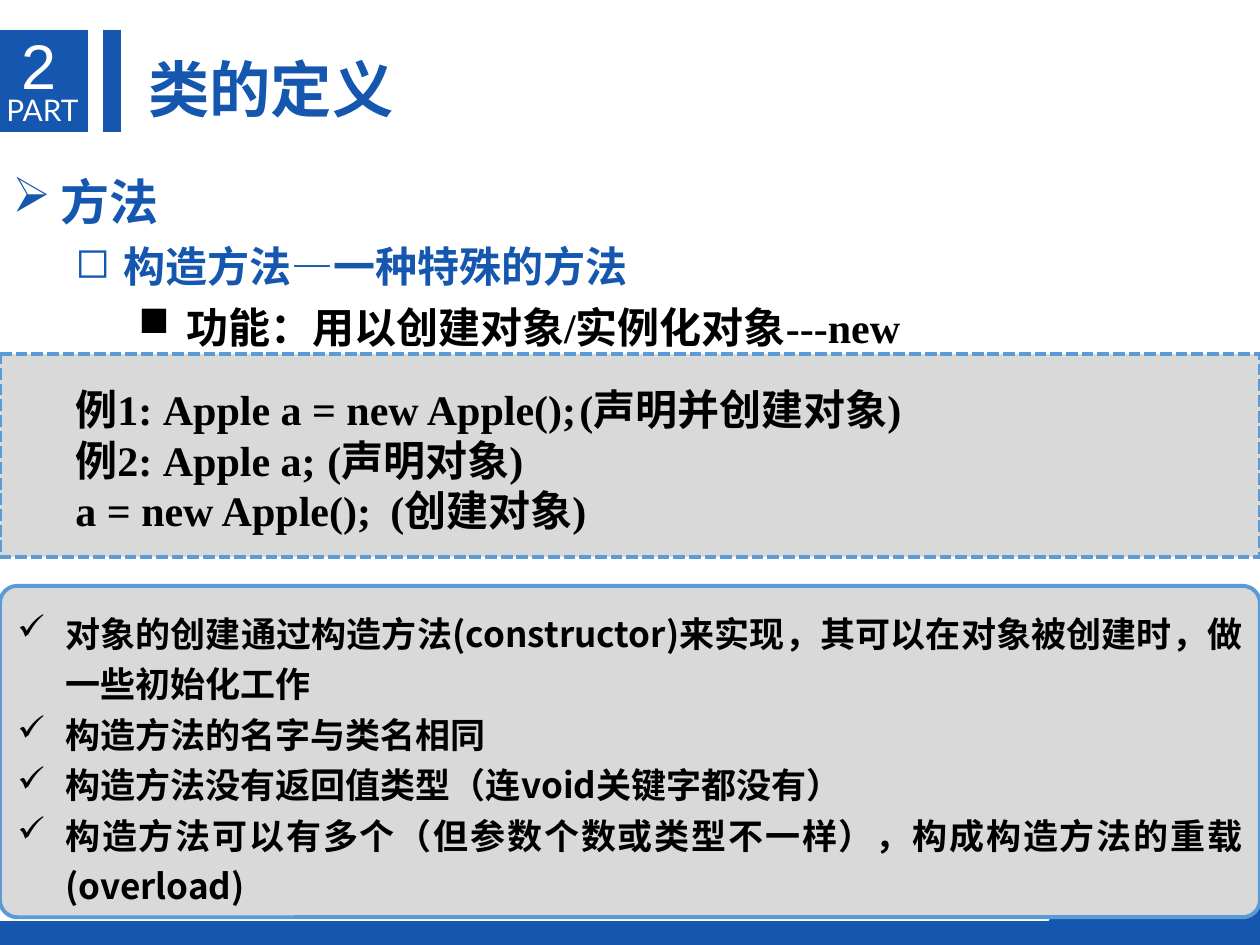
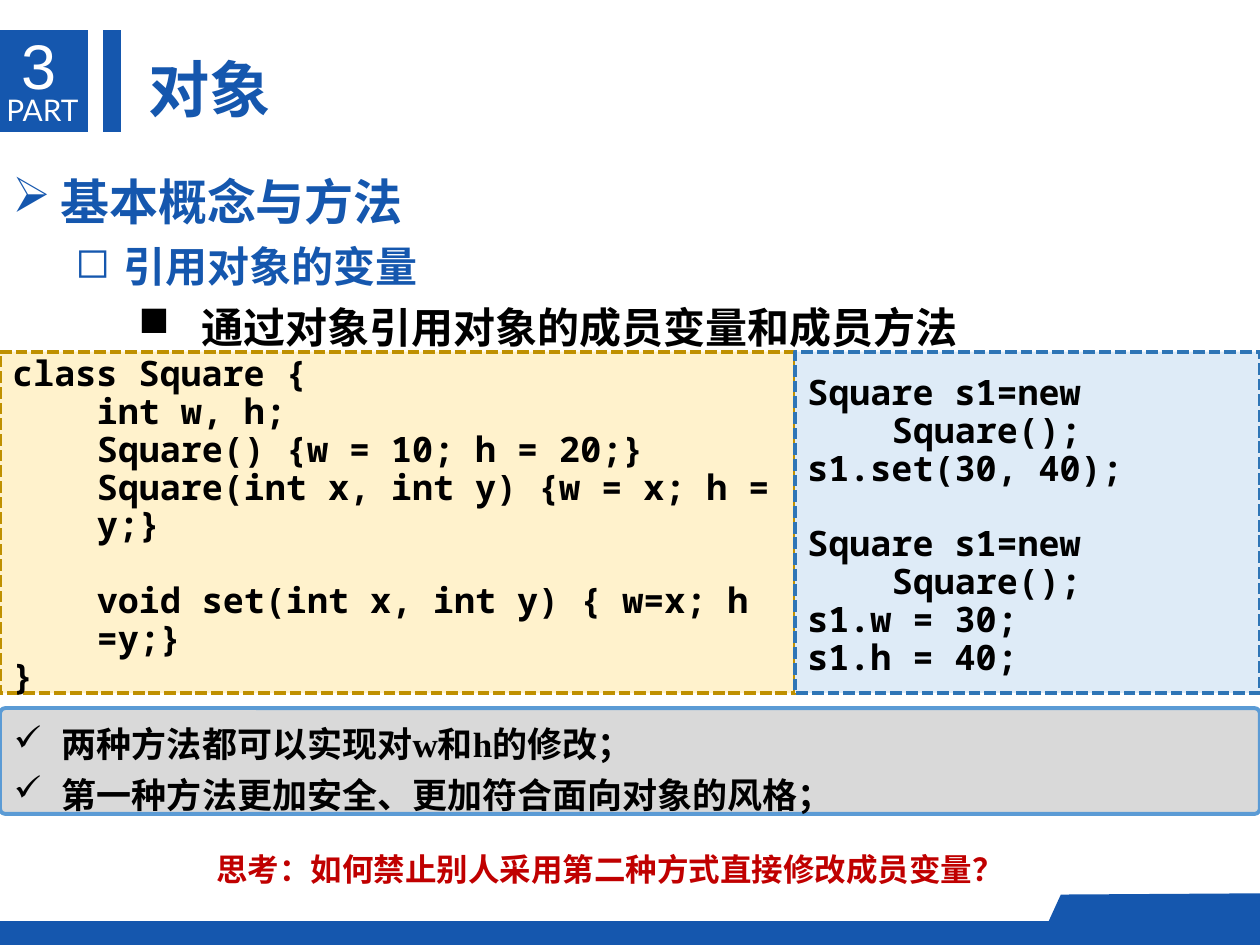
from pptx import Presentation, util as u
from pptx.dml.color import RGBColor
from pptx.enum import dml, shapes, text
from pptx.oxml import ns
from lxml import etree

# Theme
BLUE = RGBColor(0x15, 0x57, 0xAE)
SKY = RGBColor(0x5B, 0x9B, 0xD5)
NAVY = RGBColor(0x2E, 0x75, 0xB6)
PALE_BLUE = RGBColor(0xDE, 0xEB, 0xF7)
GOLD = RGBColor(0xBF, 0x90, 0x00)
CREAM = RGBColor(0xFF, 0xF2, 0xCC)
GREY = RGBColor(0xD9, 0xD9, 0xD9)
RED = RGBColor(0xC0, 0x00, 0x00)
WHITE = RGBColor(0xFF, 0xFF, 0xFF)
BLACK = RGBColor(0, 0, 0)
CJK, SERIF, MONO = "Noto Sans CJK SC", "Times New Roman", "Noto Sans Mono"

# The page is a grid of square cells, 10 columns by 7.5 rows
CELL = u.Inches(1)
COLUMNS, ROWS = 10, 7.5
LINE_HEIGHT = 1.2  # one line, as a share of the text size
INSET = 0.05

RECT = shapes.MSO_SHAPE.RECTANGLE
ROUNDED = shapes.MSO_SHAPE.ROUNDED_RECTANGLE
BAND = shapes.MSO_SHAPE.FLOWCHART_PROCESS


def cells(*lengths):
    return [u.Emu(round(length * CELL)) for length in lengths]


def add_child(parent, tag, **attributes):
    child = etree.SubElement(parent, ns.qn(tag))
    for key, value in attributes.items():
        child.set(key, str(value))
    return child


def write(frame, words, size=20, font=CJK, color=BLACK, bold=True, align=None,
          indent=0, hanging=0, spacing=1.0, before=0, bullet=None, tabs=()):
    """Add one paragraph, using the empty first one if there is one."""
    first = frame.paragraphs[0]
    paragraph = first if not first.runs else frame.add_paragraph()
    paragraph.alignment = align or text.PP_ALIGN.LEFT
    paragraph.line_spacing = u.Pt(size * LINE_HEIGHT * spacing)
    paragraph.space_before = u.Pt(before)
    run = paragraph.add_run()
    run.text = words
    run.font.size, run.font.bold, run.font.name = u.Pt(size), bold, font
    run.font.color.rgb = color
    add_child(run.font._element, "a:ea", typeface=CJK)

    properties = paragraph._p.get_or_add_pPr()
    left, first_line = cells(indent, -hanging)
    properties.set("marL", str(left))
    properties.set("indent", str(first_line))
    if bullet:
        add_child(properties, "a:buChar", char=bullet)
    else:
        add_child(properties, "a:buNone")
    if tabs:
        stops = add_child(properties, "a:tabLst")
        for stop in cells(*tabs):
            add_child(stops, "a:tab", pos=stop, algn="l")


def prepare(frame, lower=0.0, side=0.1, anchor=text.MSO_ANCHOR.TOP):
    """Wrap the text and move it down by a share of a cell."""
    frame.word_wrap = True
    frame.vertical_anchor = anchor
    frame.margin_left, frame.margin_right = cells(side, side)
    frame.margin_top, frame.margin_bottom = cells(INSET + lower, INSET - lower)
    return frame


def text_box(slide, place, lower=0.0, side=0.1):
    return prepare(slide.shapes.add_textbox(*cells(*place)).text_frame, lower, side)


def paint(shape, fill, line=None, dashed=False):
    shape.shadow.inherit = False
    shape.fill.solid()
    shape.fill.fore_color.rgb = fill
    if line is None:
        shape.line.fill.background()
        return
    shape.line.color.rgb = line
    shape.line.width = u.Pt(2.25)
    if dashed:
        shape.line.dash_style = dml.MSO_LINE.SQUARE_DOT


def panel(slide, place, fill, line, kind=ROUNDED, corner=0.0, dashed=False):
    box = slide.shapes.add_shape(kind, *cells(*place))
    if kind == ROUNDED:
        box.adjustments[0] = corner
    paint(box, fill, line, dashed)
    return prepare(box.text_frame, 0.03, anchor=text.MSO_ANCHOR.MIDDLE)


def frame_slide(slide, part, title):
    """Part badge, title and footer that every slide shares."""
    for place in ((0, 0.24, 0.7, 0.81), (0.82, 0.24, 0.14, 0.81),
                  (0, 7.31, COLUMNS, 0.19)):
        paint(slide.shapes.add_shape(BAND, *cells(*place)), BLUE)
    corner = slide.shapes.build_freeform(*cells(COLUMNS, 7.45), scale=1.0)
    corner.add_line_segments(
        [cells(*point) for point in ((COLUMNS, 7.09), (8.42, 7.1), (8.26, 7.45))])
    paint(corner.convert_to_shape(), BLUE)

    write(text_box(slide, (0.05, 0.68, 0.65, 0.39), side=0), "PART",
          size=17, font="Lato", color=WHITE, bold=False)
    write(text_box(slide, (0.07, 0.16, 0.55, 0.71)), part,
          size=36, font="Arial", color=WHITE, bold=False)
    write(text_box(slide, (1.08, 0.31, 8, 0.69), 0.05), title, size=35, color=BLUE)


def outline(slide, topic, subtopic, point, point_indent, point_hanging):
    levels = text_box(slide, (0, 1.19, COLUMNS, 1.7), 0.03)
    write(levels, topic, size=28, color=BLUE, indent=0.38, hanging=0.38,
          spacing=1.2, bullet="➢")
    write(levels, subtopic, size=24, font=SERIF, color=BLUE, indent=0.88,
          hanging=0.38, spacing=1.2, bullet="◻")
    write(levels, point, size=24, font=SERIF, indent=point_indent,
          hanging=point_hanging, spacing=1.2, bullet="■")


def checklist(slide, top, height, items, font=CJK):
    notes = panel(slide, (0, top, COLUMNS, height), GREY, SKY, corner=0.052)
    for item in items:
        write(notes, item, font=font, align=text.PP_ALIGN.JUSTIFY, indent=0.38,
              hanging=0.38, spacing=1.2, bullet="✓")


def code(frame, *blocks):
    """Write blocks of code lines with one line's height between blocks."""
    for number, block in enumerate(blocks):
        for row, line in enumerate(block):
            gap = 20 * LINE_HEIGHT * 0.9 if number and row == 0 else 0
            write(frame, line, font=MONO, indent=0.67, hanging=0.67,
                  spacing=0.9, before=gap)


def constructor_slide(slide):
    frame_slide(slide, "2", "类的定义")
    outline(slide, "方法", "构造方法—一种特殊的方法",
            "功能：用以创建对象/实例化对象---new", 1.38, 0.38)
    examples = panel(slide, (0, 2.81, COLUMNS, 1.61), GREY, SKY, dashed=True)
    for line, tabs in (
            ("\t例1: Apple a = new Apple();\t(声明并创建对象)", (1.5, 6.58)),
            ("\t例2: Apple a;\t(声明对象)", (1.5, 5.5)),
            ("\ta = new Apple();\t(创建对象)", (2.66, 6.5))):
        write(examples, line, size=24, font=SERIF, tabs=tabs)
    checklist(slide, 4.65, 2.63, (
        "对象的创建通过构造方法(constructor)来实现，其可以在对象被创建时，做一些初始化工作",
        "构造方法的名字与类名相同",
        "构造方法没有返回值类型（连void关键字都没有）",
        "构造方法可以有多个（但参数个数或类型不一样），构成构造方法的重载(overload)"))


def object_slide(slide):
    frame_slide(slide, "3", "对象")
    outline(slide, "基本概念与方法", "引用对象的变量",
            "通过对象引用对象的成员变量和成员方法", 1.5, 0.5)

    # Class on the left, its use on the right
    split, top, height = 6.31, 2.79, 2.71
    definition = panel(slide, (0, top, split, height), CREAM, GOLD, dashed=True)
    code(definition,
         ("class Square {", "\tint w, h;", "\tSquare() {w = 10; h = 20;}",
          "\tSquare(int x, int y) {w = x; h = y;}"),
         ("\tvoid set(int x, int y) { w=x; h =y;}", "}"))
    usage = panel(slide, (split, top, COLUMNS - split, height), PALE_BLUE, NAVY,
                  kind=RECT, dashed=True)
    creation = "Square s1=new Square();"
    code(usage, (creation, "s1.set(30, 40);"),
         (creation, "s1.w = 30;", "s1.h = 40;"))

    checklist(slide, 5.62, 0.84, (
        "两种方法都可以实现对w和h的修改；",
        "第一种方法更加安全、更加符合面向对象的风格；"), font=SERIF)
    write(text_box(slide, (0.05, 6.67, 9.58, 0.4), 0.03),
          "思考：如何禁止别人采用第二种方式直接修改成员变量？",
          size=18, color=RED, align=text.PP_ALIGN.CENTER)


def main():
    deck = Presentation()
    deck.slide_width, deck.slide_height = cells(COLUMNS, ROWS)
    blank = deck.slide_layouts[6]
    for build in (constructor_slide, object_slide):
        build(deck.slides.add_slide(blank))
    deck.save("out.pptx")


if __name__ == "__main__":
    main()
